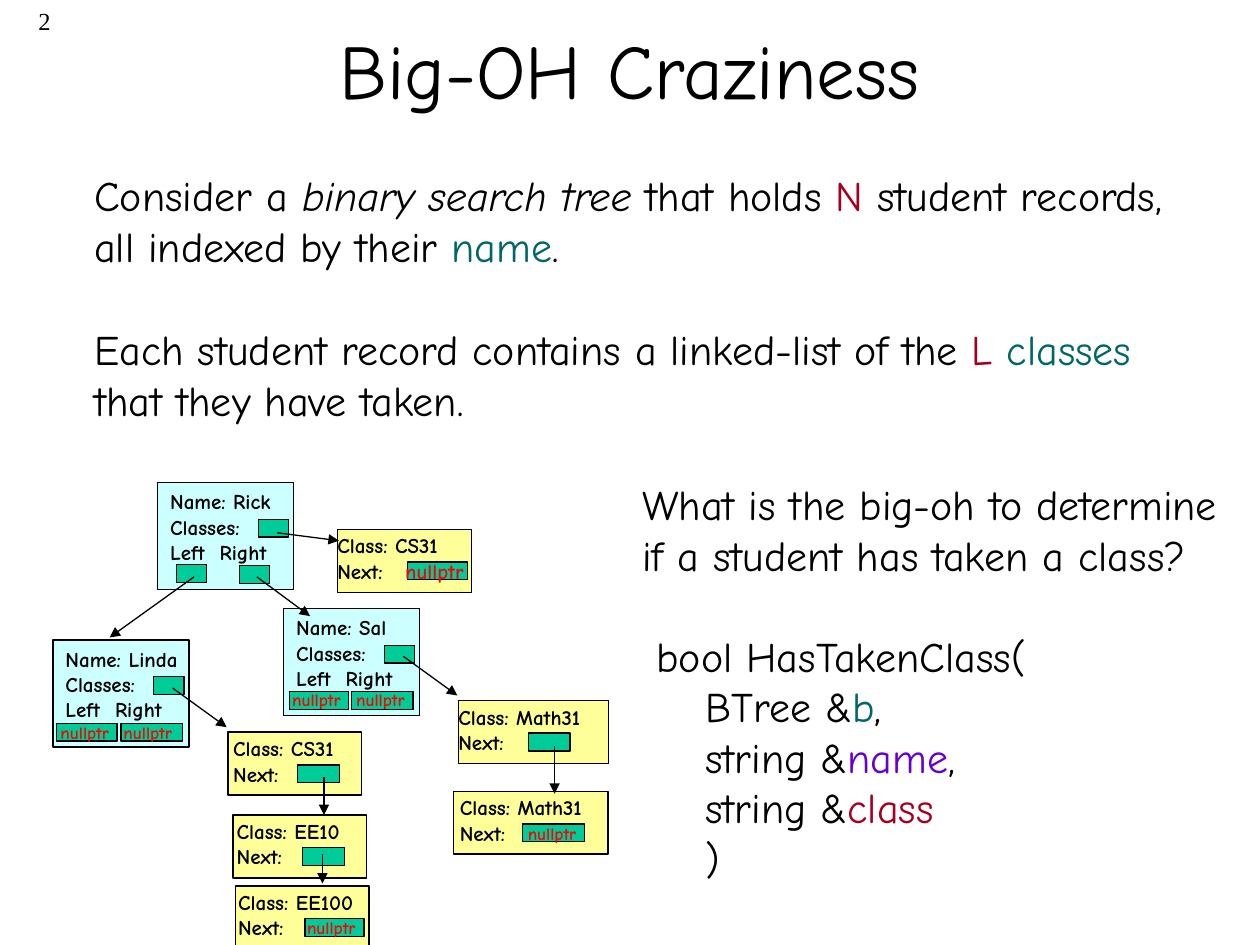
from lxml import etree
from pptx import Presentation
from pptx import util as u
from pptx.dml.color import RGBColor
from pptx.enum import shapes, text
from pptx.oxml.ns import qn

RED, TEAL, PURPLE = "A50021", "006666", "6600CC"

prs = Presentation()
prs.slide_width, prs.slide_height = u.Cm(25.4), u.Cm(19.05)
s = prs.slides.add_slide(prs.slide_layouts[6])


def add_text(pos, paras, align=text.PP_ALIGN.LEFT, anchor=text.MSO_ANCHOR.TOP, **fmt):
    tf = s.shapes.add_textbox(*map(u.Cm, pos)).text_frame
    tf.word_wrap = True
    tf.vertical_anchor = anchor
    for i, runs in enumerate(paras):
        p = tf.paragraphs[0] if i == 0 else tf.add_paragraph()
        p.alignment = align
        for words, *extra in runs:
            r = p.add_run()
            r.text = words
            look = {"name": "Comic Neue", "size": 24, "color": "000000"}
            look |= fmt | (extra[0] if extra else {})
            r.font.color.rgb = RGBColor.from_string(look.pop("color"))
            look["size"] = u.Pt(look["size"])
            for key, value in look.items():
                setattr(r.font, key, value)
    return tf


def add_rect(pos, fill):
    sp = s.shapes.add_shape(shapes.MSO_SHAPE.RECTANGLE, *map(u.Cm, pos))
    sp.shadow.inherit = False
    sp.fill.solid()
    sp.fill.fore_color.rgb = RGBColor.from_string(fill)
    sp.line.color.rgb = RGBColor.from_string("000000")
    sp.line.width = u.Pt(0.75)


add_text((0, 0, 1.27, 1.27), [[("2",)]], text.PP_ALIGN.RIGHT,
         name="Times New Roman", size=14)
add_text((1.9, -0.2, 21.59, 3.18), [[("Big-OH Craziness",)]],
         text.PP_ALIGN.CENTER, text.MSO_ANCHOR.MIDDLE, size=44)
add_text((1.65, 3.3, 22.68, 2.29), [[
    ("Consider a ",), ("binary search tree", {"italic": True}),
    (" that holds ",), ("N", {"color": RED}),
    (" student records, all indexed by their ",),
    ("name", {"color": TEAL}), (".",)]])
add_text((1.65, 6.4, 22.68, 2.31), [[
    ("Each student record contains a linked-list of the ",),
    ("L ", {"color": RED}), ("classes", {"color": TEAL}),
    (" that they have taken.",)]])
tf = add_text((12.7, 9.53, 12.27, 9.37), [
    [("What is the big-oh to determine if a student has taken a class?",)],
    [(" bool HasTakenClass(",)],
    [("\tBTree &",), ("b", {"color": TEAL}), (",",)],
    [("\tstring &",), ("name", {"color": PURPLE}), (",",)],
    [("\tstring &",), ("class", {"color": RED})],
    [("\t)",)]])
tf.paragraphs[1].space_before = u.Pt(29)

records = [("Rick", 3.18, 9.73), ("Linda", 1.07, 12.9), ("Sal", 5.72, 12.27)]
for name, x, y in records:
    add_rect((x, y, 2.74, 2.16), "CCFFFF")
    add_rect((x + 2.03, y + 0.74, 0.61, 0.36), "00CC99")
    add_text((x, y, 3.12, 2.29),
             [[("Name: " + name,)], [("Classes:",)], [("Left  Right",)]],
             size=12, bold=True)

child_slots = [
    (3.56, 11.38, 0.61), (4.83, 11.4, 0.61),
    (1.14, 14.58, 1.22), (2.44, 14.58, 1.24),
    (5.84, 13.94, 1.19), (7.09, 13.94, 1.24),
]
for x, y, w in child_slots:
    add_rect((x, y, w, 0.36), "00CC99")

classes = [
    ("CS31", 6.81, 10.67, 2.69, 1.22, 0.26),
    ("CS31", 4.6, 14.76, 2.69, 0.84, 0.15),
    ("EE10", 4.7, 16.43, 2.69, 0.84, 0.18),
    ("Math31", 9.25, 14.12, 3.02, 0.84, 0.26),
    ("Math31", 9.14, 15.95, 3.12, 1.24, 0.12),
    ("EE100", 4.75, 17.86, 2.69, 1.19, 0.2),
]
for name, x, y, w, slot, shift in classes:
    add_rect((x, y, w, 1.27), "FFFF99")
    add_rect((x + 1.4, y + 0.66, slot, 0.36), "00CC99")
    add_text((x - shift, y - 0.05, 3.48, 1.27),
             [[("Class: " + name,)], [("Next:",)]], size=12, bold=True)

arrows = [
    (5.59, 10.74, 6.83, 10.9), (3.91, 11.63, 2.21, 12.85),
    (5.18, 11.63, 6.25, 12.42), (3.48, 13.87, 4.57, 14.66),
    (8.13, 13.23, 9.22, 14.02), (6.53, 15.67, 6.53, 16.43),
    (11.18, 15.04, 11.18, 16), (6.5, 17.22, 6.5, 17.81),
]
for ends in arrows:
    c = s.shapes.add_connector(shapes.MSO_CONNECTOR.STRAIGHT, *map(u.Cm, ends))
    c.line.color.rgb = RGBColor.from_string("000000")
    c.line.width = u.Pt(0.75)
    etree.SubElement(c.line._get_or_add_ln(), qn("a:tailEnd"), type="triangle")
    etree.SubElement(c._element.spPr, qn("a:effectLst"))

nulls = [
    (7.92, 11.13, 12), (0.97, 14.43, 10), (2.24, 14.43, 10), (5.64, 13.77, 10),
    (6.93, 13.77, 10), (10.39, 16.46, 10), (5.94, 18.36, 10),
]
for x, y, size in nulls:
    add_text((x, y, 1.83, 0.69), [[("nullptr",)]],
             size=size, bold=True, color="FF0000")

prs.save("out.pptx")
